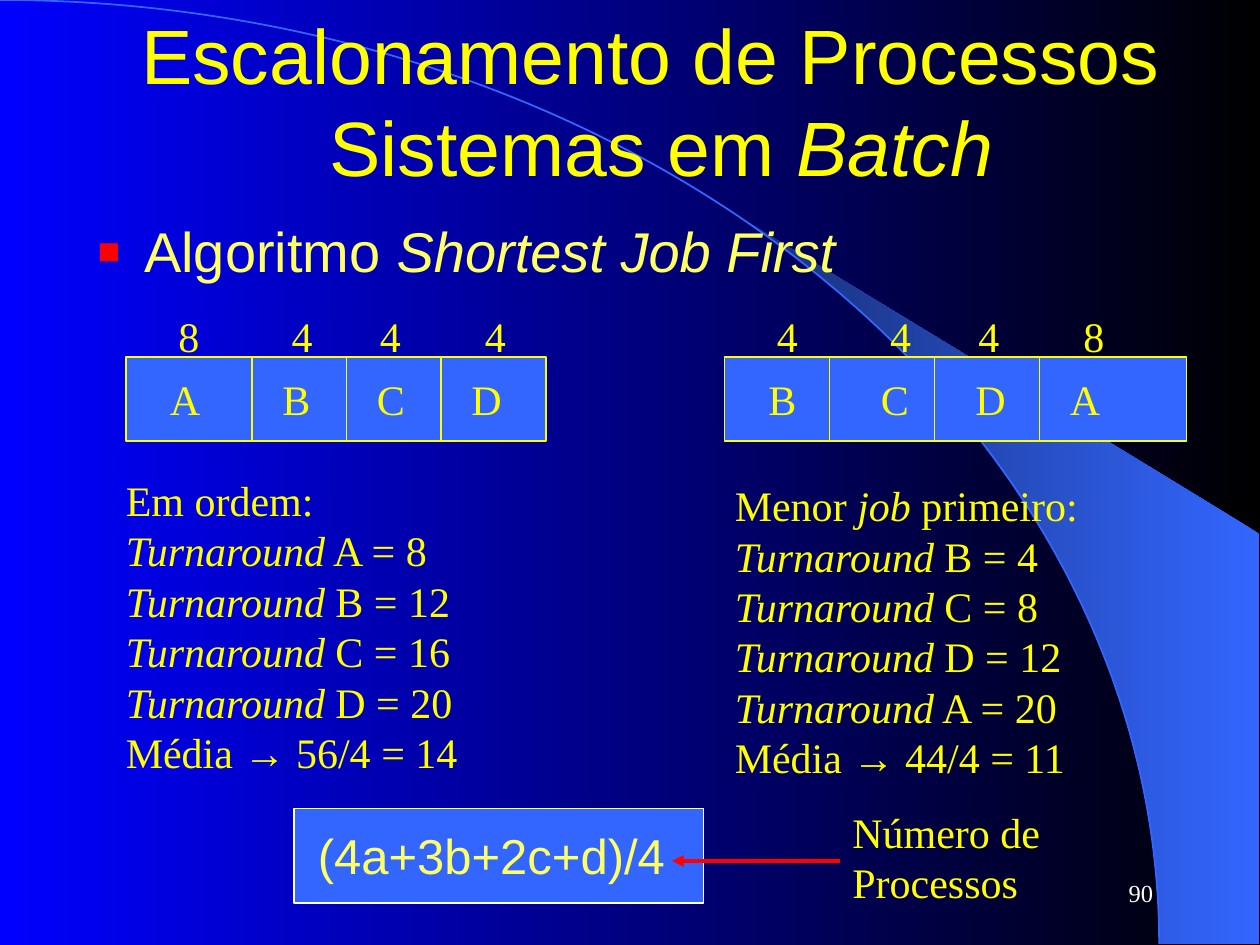
import math
from dataclasses import dataclass
from typing import NamedTuple

import pptx
import pptx.dml.color
import pptx.enum.shapes
import pptx.enum.text
import pptx.oxml
import pptx.oxml.ns
import pptx.util

COLORS = {
    "black": "000000", "deep": "0000FF", "sky": "3366FF", "navy": "172F75",
    "yellow": "FFFF00", "pale": "FFFF66", "red": "FF0000", "white": "FFFFFF",
}
COLUMNS, ROWS = 120, 90
WIDTH, HEIGHT = pptx.util.Inches(10), pptx.util.Inches(7.5)
SANS, SERIF = "Arial", "Times New Roman"
SHAPE = pptx.enum.shapes.MSO_SHAPE
ALIGN = pptx.enum.text.PP_ALIGN
ANCHOR = pptx.enum.text.MSO_ANCHOR


class Area(NamedTuple):
    column: float
    row: float
    columns: float
    rows: float


class Piece(NamedTuple):
    text: str
    italic: bool = False
    font: str = ""


@dataclass
class Style:
    font: str = SERIF
    size: int = 24
    color: str = "yellow"


@dataclass
class Schedule:
    bar: Area
    dividers: list[int]
    jobs: str
    times: str
    summary: Area
    heading: list[Piece]
    turnarounds: list[int]


SCHEDULES = [
    Schedule(Area(12, 34, 40, 8), [24, 33, 42], "ABCD", "8444",
             Area(10.8, 44.6, 38, 30), [Piece("Em ordem:")], [8, 12, 16, 20]),
    Schedule(Area(69, 34, 44, 8), [79, 89, 99], "BCDA", "4448",
             Area(68.8, 45.1, 38, 30),
             [Piece("Menor "), Piece("job ", True), Piece("primeiro:")], [4, 8, 12, 20]),
]
JOB_OFFSETS = [3, 13.7, 22.7, 31.7]
TIME_OFFSETS = [3.8, 14.6, 23, 33]


def x(column: float) -> int:
    return round(WIDTH * column / COLUMNS)


def y(row: float) -> int:
    return round(HEIGHT * row / ROWS)


def place(area: Area) -> tuple[int, int, int, int]:
    return x(area.column), y(area.row), x(area.columns), y(area.rows)


def rgb(name: str) -> pptx.dml.color.RGBColor:
    return pptx.dml.color.RGBColor.from_string(COLORS[name])


def paint_gradient(fill, start: str, end: str) -> None:
    fill.gradient()
    fill.gradient_angle = 180
    for stop, name in zip(fill.gradient_stops, (start, end)):
        stop.color.rgb = rgb(name)


def add_pieces(paragraph, pieces: list[Piece], style: Style) -> None:
    for piece in pieces:
        run = paragraph.add_run()
        run.text = piece.text
        run.font.name = piece.font or style.font
        run.font.size = pptx.util.Pt(style.size)
        run.font.italic = piece.italic
        run.font.color.rgb = rgb(style.color)


def add_text(slide, area: Area, lines: list[list[Piece]], style: Style = Style(), wrap: bool = False):
    frame = slide.shapes.add_textbox(*place(area)).text_frame
    frame.word_wrap = wrap
    for index, pieces in enumerate(lines):
        paragraph = frame.add_paragraph() if index else frame.paragraphs[0]
        add_pieces(paragraph, pieces, style)
    return frame


def add_panel(slide, area: Area, outline: str) -> None:
    panel = slide.shapes.add_shape(SHAPE.RECTANGLE, *place(area))
    panel.shadow.inherit = False
    panel.fill.solid()
    panel.fill.fore_color.rgb = rgb("sky")
    panel.line.color.rgb = rgb(outline)
    panel.line.width = pptx.util.Pt(0.75)


def add_line(slide, start: tuple[float, float], end: tuple[float, float], color: str, weight: float):
    line = slide.shapes.add_connector(
        pptx.enum.shapes.MSO_CONNECTOR.STRAIGHT, x(start[0]), y(start[1]), x(end[0]), y(end[1]))
    line.line.color.rgb = rgb(color)
    line.line.width = pptx.util.Pt(weight)
    line.element.spPr.append(pptx.oxml.parse_xml(f'<a:effectLst {pptx.oxml.ns.nsdecls("a")}/>'))
    return line


def add_backdrop(slide) -> None:
    paint_gradient(slide.background.fill, "black", "deep")
    radius_x, radius_y, edge = 110.4, 89.9, 119.9
    first = math.asin(70.7 / radius_x)
    steps = 24
    angles = [first + (math.pi / 2 - first) * step / steps for step in range(steps + 1)]
    curve = [(x(radius_x * math.sin(a)), y(radius_y * (1 - math.cos(a)))) for a in angles]
    builder = slide.shapes.build_freeform(x(edge), y(radius_y))
    builder.add_line_segments([(x(edge), y(50.8))] + curve)
    beam = builder.convert_to_shape()
    beam.shadow.inherit = False
    paint_gradient(beam.fill, "sky", "navy")
    beam.line.fill.background()

    horizon = slide.shapes.add_shape(
        SHAPE.ARC, *place(Area(-radius_x, 0, 2 * radius_x, 2 * radius_y)))
    horizon.shadow.inherit = False
    horizon.fill.background()
    horizon.line.color.rgb = rgb("sky")
    horizon.line.width = pptx.util.Pt(1)


def add_title(slide) -> None:
    title = slide.shapes.title
    title.element.getparent().append(title.element)
    title.left, title.top, title.width, title.height = place(Area(8, 2, 108, 15))
    frame = title.text_frame
    frame.auto_size = pptx.enum.text.MSO_AUTO_SIZE.NONE
    frame.vertical_anchor = ANCHOR.MIDDLE
    paragraph = frame.paragraphs[0]
    paragraph.alignment = ALIGN.CENTER
    style = Style(SANS, 44)
    add_pieces(paragraph, [Piece("Escalonamento de Processos")], style)
    paragraph.add_line_break()
    add_pieces(paragraph, [Piece(" Sistemas em "), Piece("Batch", True)], style)


def add_topic(slide) -> None:
    frame = add_text(slide, Area(8, 20, 108, 9),
                     [[Piece("Algoritmo "), Piece("Shortest Job First", True)]],
                     Style(SANS, 32, "pale"), wrap=True)
    properties = frame.paragraphs[0]._p.get_or_add_pPr()
    properties.set("marL", str(pptx.util.Inches(0.38)))
    properties.set("indent", str(-pptx.util.Inches(0.38)))
    for bullet in (f'buClr {{ns}}><a:srgbClr val="{COLORS["red"]}"/></a:buClr>',
                   'buSzPct {ns} val="130000"/>', f'buFont {{ns}} typeface="{SANS}"/>',
                   'buChar {ns} char="▪"/>'):
        properties.append(pptx.oxml.parse_xml("<a:" + bullet.format(ns=pptx.oxml.ns.nsdecls("a"))))
    frame.paragraphs[0].alignment = ALIGN.JUSTIFY


def add_schedule(slide, schedule: Schedule) -> None:
    bar = schedule.bar
    add_panel(slide, bar, "yellow")
    for column in schedule.dividers:
        add_line(slide, (column, bar.row), (column, bar.row + bar.rows), "yellow", 0.75)
    for labels, offsets, rise, columns in ((schedule.jobs, JOB_OFFSETS, 1, 5.2),
                                           (schedule.times, TIME_OFFSETS, -5, 4.4)):
        for label, offset in zip(labels, offsets):
            add_text(slide, Area(bar.column + offset, bar.row + rise, columns, 6), [[Piece(label)]])
    total = sum(schedule.turnarounds)
    count = len(schedule.turnarounds)
    lines = [[Piece("Turnaround", True), Piece(f" {job} = {time}")]
             for job, time in zip(schedule.jobs, schedule.turnarounds)]
    average = [Piece("Média "), Piece("→", font=SANS), Piece(f" {total}/{count} = {total // count}")]
    add_text(slide, schedule.summary, [schedule.heading, *lines, average])


def add_formula(slide) -> None:
    add_panel(slide, Area(28, 77, 39, 9), "white")
    formula = add_text(slide, Area(29.1, 78.7, 36.5, 6.2), [[Piece("(4a+3b+2c+d)/4")]],
                       Style(SANS, 28, "pale"))
    formula.paragraphs[0].line_spacing = 0.9
    arrow = add_line(slide, (80, 82), (64, 82), "red", 2.25)
    arrow.line._get_or_add_ln().append(
        pptx.oxml.parse_xml(f'<a:tailEnd {pptx.oxml.ns.nsdecls("a")} type="triangle"/>'))
    add_text(slide, Area(80, 76.2, 22, 10.8), [[Piece("Número de")], [Piece("Processos")]])


def main() -> None:
    deck = pptx.Presentation()
    deck.slide_width, deck.slide_height = WIDTH, HEIGHT
    slide = deck.slides.add_slide(deck.slide_layouts[5])
    add_backdrop(slide)
    add_title(slide)
    add_topic(slide)
    for schedule in SCHEDULES:
        add_schedule(slide, schedule)
    add_formula(slide)
    number = add_text(slide, Area(86, 82, 25, 6), [[Piece("90")]], Style(SERIF, 14, "white"), wrap=True)
    number.vertical_anchor = ANCHOR.MIDDLE
    number.paragraphs[0].alignment = ALIGN.RIGHT
    deck.save("out.pptx")


if __name__ == "__main__":
    main()
